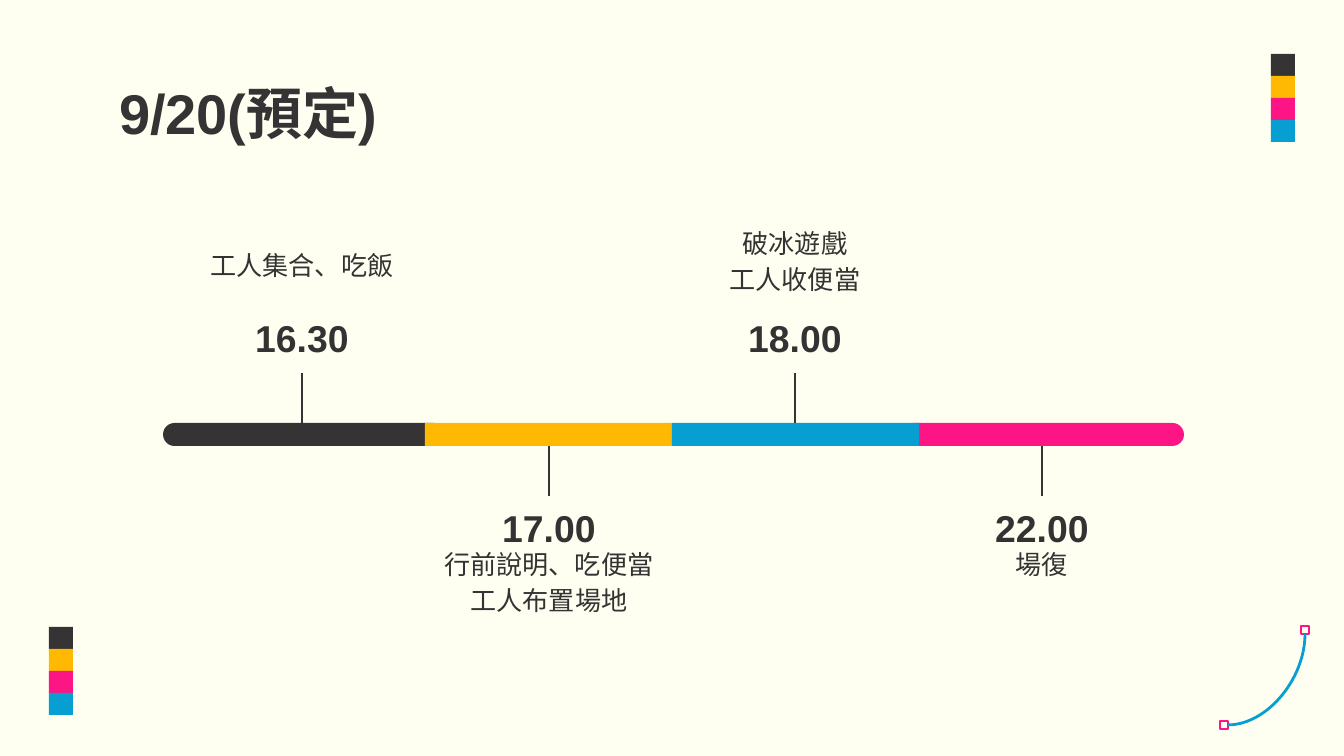
from lxml.etree import SubElement
from pptx import Presentation
from pptx.dml.color import RGBColor
from pptx.enum.shapes import MSO_CONNECTOR as Connector, MSO_SHAPE as Shape
from pptx.enum.text import MSO_ANCHOR as Anchor, MSO_AUTO_SIZE as AutoSize, PP_ALIGN as Align
from pptx.oxml.ns import qn
from pptx.util import Emu, Pt

PX = 9144000 / 1344
COLORS = {
    "paper": "FFFFF1", "dark": "353334", "text": "333333",
    "amber": "FFB903", "pink": "FD1485", "blue": "079ED2",
}


def px(*lengths):
    return [Emu(round(length * PX)) for length in lengths]


def color(name):
    return RGBColor.from_string(COLORS[name])


class TimelineSlide:
    """Holds the slide and draws its elements in one style."""

    def __init__(self, slide):
        self.slide = slide
        self.shapes = slide.shapes
        slide.background.fill.solid()
        slide.background.fill.fore_color.rgb = color("paper")

    def set_text(self, frame, text, size, font, ink, bold=False, align=Align.LEFT,
                 anchor=Anchor.TOP, spacing=1.0):
        frame.word_wrap = True
        frame.auto_size = AutoSize.NONE
        frame.vertical_anchor = anchor
        inset, = px(13)
        frame.margin_left = frame.margin_right = inset
        frame.margin_top = frame.margin_bottom = inset
        paragraph = frame.paragraphs[0]
        paragraph.text = text
        paragraph.alignment = align
        paragraph.line_spacing = spacing
        paragraph.font.name = font
        paragraph.font.size = Pt(size)
        paragraph.font.bold = bold
        paragraph.font.color.rgb = color(ink)

    def title(self, text, x, y, w, h):
        title = self.shapes.title
        title.left, title.top, title.width, title.height = px(x, y, w, h)
        self.set_text(title.text_frame, text, 30, "Arial", "dark", bold=True)

    def label(self, text, x, y, w, h, size, font, **style):
        box = self.shapes.add_textbox(*px(x, y, w, h))
        self.set_text(box.text_frame, text, size, font, "text",
                      align=Align.CENTER, spacing=1.15, **style)

    def block(self, x, y, w, h, fill, kind=Shape.RECTANGLE):
        block = self.shapes.add_shape(kind, *px(x, y, w, h))
        block.shadow.inherit = False
        block.fill.solid()
        block.fill.fore_color.rgb = color(fill)
        block.line.fill.background()
        return block

    def handle(self, x, y, size=8):
        """Small open square at the end of the curve."""
        handle = self.shapes.add_shape(Shape.RECTANGLE, *px(x, y, size, size))
        handle.shadow.inherit = False
        handle.fill.background()
        handle.line.color.rgb = color("pink")
        handle.line.width = Pt(0.75)

    def line(self, x1, y1, x2, y2, ink, width, kind=Connector.STRAIGHT):
        line = self.shapes.add_connector(kind, *px(x1, y1, x2, y2))
        line.line.color.rgb = color(ink)
        line.line.width = Pt(width)
        properties = line._element.spPr
        SubElement(properties, qn("a:effectLst"))
        if kind == Connector.CURVE:
            # A single bend instead of the default S curve
            properties.find(qn("a:prstGeom")).set("prst", "curvedConnector2")

    def swatches(self, x, y, w=24, h=22):
        for row, name in enumerate(("dark", "amber", "pink", "blue")):
            self.block(x, y + row * h, w, h, name)

    def event(self, center, time, details, details_top, above):
        if above:
            self.line(center, BAR_TOP, center, BAR_TOP - STEM, "dark", 0.75)
            time_top = 306
        else:
            bottom = BAR_TOP + BAR_HEIGHT
            self.line(center, bottom + STEM, center, bottom, "dark", 0.75)
            time_top = bottom + STEM
        left = center - LABEL_WIDTH // 2
        self.label(time, left, time_top, LABEL_WIDTH, 67, 20, "Arial",
                   bold=True, anchor=Anchor.BOTTOM)
        self.label(details, left, details_top, LABEL_WIDTH, 85, 14, "Roboto")


BAR_TOP, BAR_HEIGHT, STEM, LABEL_WIDTH = 423, 23, 50, 314
STEP = 740 / 3
EVENTS = [
    ("16.30", "工人集合、吃飯", 232),
    ("17.00", "行前說明、吃便當\v工人布置場地", 531),
    ("18.00", "破冰遊戲\v工人收便當", 210),
    ("22.00", "場復", 531),
]


def main():
    deck = Presentation()
    deck.slide_width, deck.slide_height = px(1344, 756)
    page = TimelineSlide(deck.slides.add_slide(deck.slide_layouts[5]))

    page.handle(1220, 721)
    page.handle(1301, 626)
    page.line(1228, 725, 1305, 634, "blue", 1.5, Connector.CURVE)
    page.swatches(49, 627)
    page.swatches(1271, 54)

    page.title("9/20(預定)", 106, 66, 1133, 85)

    for x, fill in ((902, "pink"), (163, "dark")):
        end = page.block(x, BAR_TOP, 282, BAR_HEIGHT, fill, Shape.ROUNDED_RECTANGLE)
        end.adjustments[0] = 0.5
    for x, fill in ((425, "amber"), (672, "blue")):
        page.block(x, BAR_TOP, 247, BAR_HEIGHT, fill)

    for number, (time, details, details_top) in enumerate(EVENTS):
        page.event(round(302 + number * STEP), time, details, details_top,
                   above=number % 2 == 0)

    deck.save("out.pptx")


if __name__ == "__main__":
    main()
